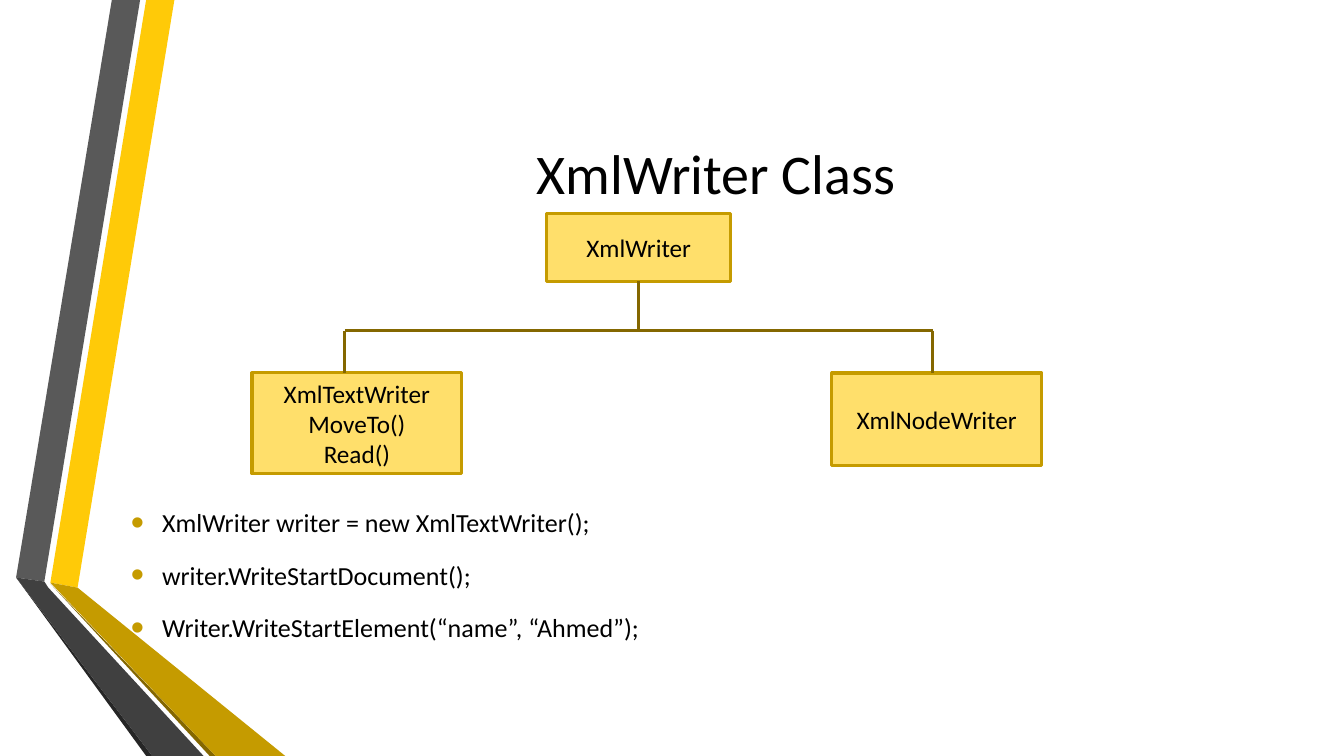
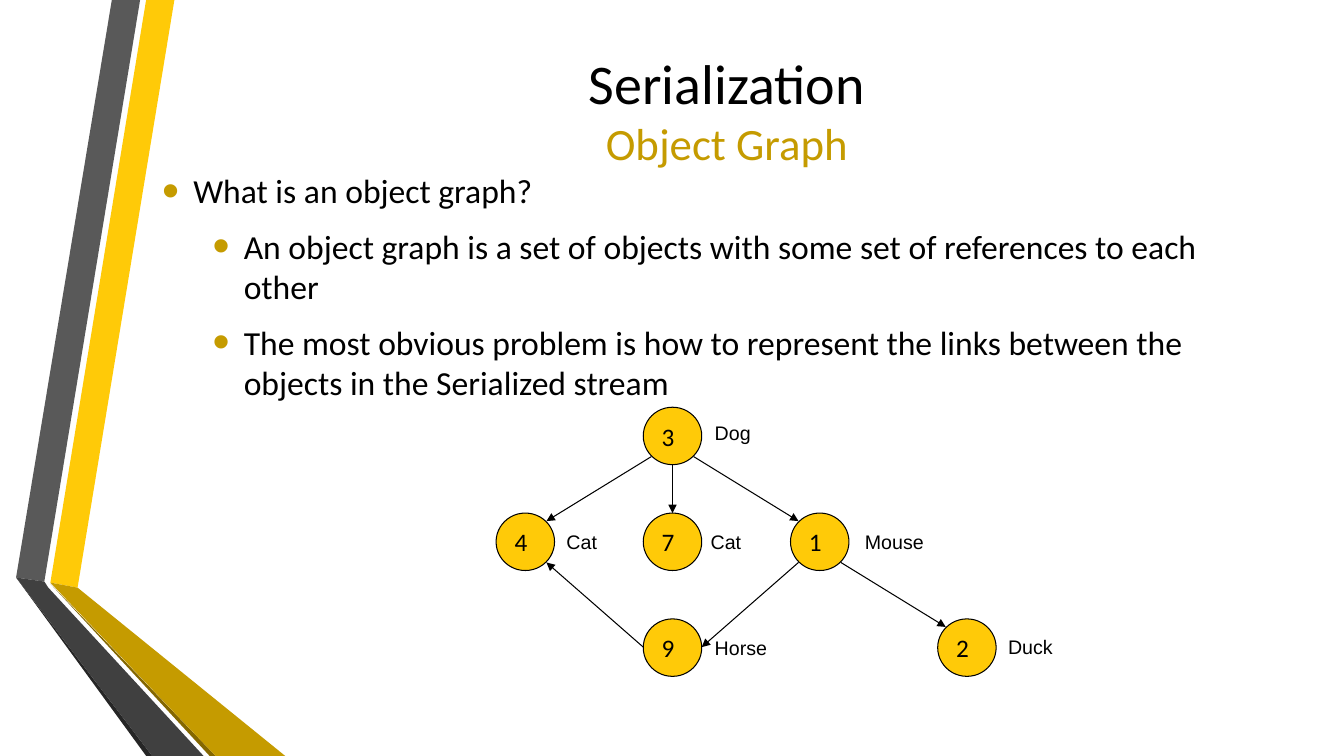
from dataclasses import dataclass
from math import cos, radians, sin

from lxml import etree
from pptx import Presentation
from pptx import util as u
from pptx.dml import color
from pptx.enum import shapes, text
from pptx.oxml import ns

SCALE = 9144
BLACK, GOLD, SUN = "000000", "C59B00", "FFCA08"
PALE, DARK = "FFDF6B", "846700"
FACE, SANS = "Calibri", "Arial"
LEFT, MID = text.PP_ALIGN.LEFT, text.PP_ALIGN.CENTER
TOP, CORE = text.MSO_ANCHOR.TOP, text.MSO_ANCHOR.MIDDLE
RECT, OVAL = shapes.MSO_SHAPE.RECTANGLE, shapes.MSO_SHAPE.OVAL


@dataclass(frozen=True)
class Box:
    x: int
    y: int
    w: int
    h: int


@dataclass(frozen=True)
class Band:
    tint: str
    dots: tuple[tuple[int, int], ...]


@dataclass(frozen=True)
class Run:
    words: str
    size: float = 18
    tint: str = BLACK
    face: str = FACE


@dataclass(frozen=True)
class Point:
    run: Run
    level: int = 0


@dataclass(frozen=True)
class Node:
    key: str
    label: str
    col: int
    row: int
    dx: int
    dy: int = 12

    @property
    def box(self) -> Box:
        return Box(492 + 146 * self.col, 404 + 105 * self.row, 58, 57)

    def rim(self, turn: int) -> tuple[int, int]:
        box, arc = self.box, radians(turn)
        return (round(box.x + box.w / 2 * (1 + cos(arc))),
                round(box.y + box.h / 2 * (1 + sin(arc))))


@dataclass(frozen=True)
class Edge:
    start: str
    leave: int
    end: str
    reach: int


BANDS = (
    Band(SUN, ((50, 578), (77, 583), (173, 0), (145, 0))),
    Band("595959", ((139, 0), (111, 0), (16, 573), (44, 577))),
    Band("262626", ((16, 573), (145, 750), (151, 750))),
    Band(DARK, ((50, 579), (208, 750), (214, 750))),
    Band(GOLD, ((50, 578), (214, 750), (283, 750), (77, 583))),
    Band("404040", ((202, 750), (48, 583), (44, 577), (16, 573), (151, 750))),
)

CODE = (
    Point(Run("XmlWriter writer = new XmlTextWriter();", 18.6)),
    Point(Run("writer.WriteStartDocument();", 18.6)),
    Point(Run("Writer.WriteStartElement(“name”, “Ahmed”);", 18.6)),
)

FACTS = (
    Point(Run("What is an object graph?", 24)),
    Point(Run("An object graph is a set of objects with some set of "
              "references to each other", 24), 1),
    Point(Run("The most obvious problem is how to represent the links "
              "between the objects in the Serialized stream", 24), 1),
)

NODES = (
    Node("3", "Dog", 1, 0, 61, 9),
    Node("7", "Cat", 1, 1, 57),
    Node("4", "Cat", 0, 1, 60),
    Node("1", "Mouse", 2, 1, 64),
    Node("9", "Horse", 1, 2, 61),
    Node("2", "Duck", 3, 2, 60, 11),
)

EDGES = (
    Edge("3", 90, "7", 270),
    Edge("3", 135, "4", 315),
    Edge("3", 45, "1", 225),
    Edge("1", 135, "9", 0),
    Edge("9", 180, "4", 45),
    Edge("1", 45, "2", 225),
)


def px(n: int) -> u.Emu:
    return u.Emu(n * SCALE)


def rgb(tint: str) -> color.RGBColor:
    return color.RGBColor.from_string(tint)


def place(box: Box) -> tuple[u.Emu, ...]:
    return px(box.x), px(box.y), px(box.w), px(box.h)


def add(parent, tag: str, **attrs: str):
    return etree.SubElement(parent, ns.qn(tag), attrs)


def write(para, run: Run) -> None:
    part = para.add_run()
    part.text = run.words
    font = part.font
    font.size, font.name = u.Pt(run.size), run.face
    font.color.rgb = rgb(run.tint)


def fill(frame, runs: tuple[Run, ...], align=LEFT, wrap: bool = True,
         anchor=CORE) -> None:
    frame.word_wrap = wrap
    frame.vertical_anchor = anchor
    for i, run in enumerate(runs):
        para = frame.add_paragraph() if i else frame.paragraphs[0]
        para.alignment = align
        write(para, run)


def label(slide, box: Box, runs: tuple[Run, ...], align=LEFT,
          anchor=TOP) -> None:
    item = slide.shapes.add_textbox(*place(box))
    fill(item.text_frame, runs, align, anchor=anchor)


def bullets(slide, box: Box, points: tuple[Point, ...], gap: float) -> None:
    frame = slide.shapes.add_textbox(*place(box)).text_frame
    frame.word_wrap = True
    for i, point in enumerate(points):
        para = frame.add_paragraph() if i else frame.paragraphs[0]
        para.level = point.level
        para.space_before = u.Pt(gap if i else 0)
        para.space_after = u.Pt(6)
        props = para._p.get_or_add_pPr()
        props.set("marL", str(px(31 + 50 * point.level)))
        props.set("indent", str(px(-31)))
        add(add(props, "a:buClr"), "a:srgbClr", val=GOLD)
        add(props, "a:buSzPct", val="145000")
        add(props, "a:buFont", typeface=SANS)
        add(props, "a:buChar", char="•")
        write(para, point.run)


def paint(item, tint: str, edge: str = "", width: float = 0) -> None:
    item.shadow.inherit = False
    item.fill.solid()
    item.fill.fore_color.rgb = rgb(tint)
    if edge:
        item.line.color.rgb = rgb(edge)
        item.line.width = u.Pt(width)
    else:
        item.line.fill.background()


def line(slide, start: tuple[int, int], end: tuple[int, int], tint: str,
         width: float, arrow: bool = False):
    item = slide.shapes.add_connector(
        shapes.MSO_CONNECTOR.STRAIGHT, *map(px, start + end))
    item.line.color.rgb = rgb(tint)
    item.line.width = u.Pt(width)
    if arrow:
        add(item.line._get_or_add_ln(), "a:tailEnd", type="triangle")
    add(item._element.spPr, "a:effectLst")
    return item


def block(slide, box: Box, *words: str):
    item = slide.shapes.add_shape(RECT, *place(box))
    paint(item, PALE, GOLD, 2.25)
    fill(item.text_frame, tuple(map(Run, words)), MID, False)
    return item


def base(deck, box: Box, *runs: Run):
    slide = deck.slides.add_slide(deck.slide_layouts[6])
    for band in BANDS:
        pen = slide.shapes.build_freeform(*band.dots[0], scale=SCALE)
        pen.add_line_segments(band.dots[1:], close=True)
        paint(pen.convert_to_shape(), band.tint)
    label(slide, box, runs, MID, CORE)
    return slide


def writer(deck) -> None:
    slide = base(deck, Box(162, 75, 1096, 192), Run("XmlWriter Class", 40))
    bullets(slide, Box(120, 498, 1100, 144), CODE, 9)
    root = block(slide, Box(542, 212, 183, 67), "XmlWriter")
    block(slide, Box(250, 370, 208, 100),
          "XmlTextWriter", "MoveTo()", "Read()")
    block(slide, Box(825, 370, 208, 92), "XmlNodeWriter")
    rail, ends = 328, (342, 925)
    line(slide, (ends[0], rail), (ends[1], rail), DARK, 2.25)
    for x in ends:
        line(slide, (x, rail), (x, 370), DARK, 2.25)
    trunk = line(slide, (633, 279), (633, rail), DARK, 2.25)
    trunk.begin_connect(root, 2)
    trunk.end_x = trunk.begin_x


def graph(deck) -> None:
    slide = base(deck, Box(173, 12, 1096, 192),
                 Run("Serialization", 40), Run("Object Graph", 32, GOLD))
    bullets(slide, Box(151, 164, 1096, 240), FACTS, 4.8)
    for node in NODES:
        box = node.box
        item = slide.shapes.add_shape(OVAL, *place(box))
        paint(item, SUN, BLACK, 0.75)
        fill(item.text_frame, (Run(node.key),))
        label(slide, Box(box.x + node.dx, box.y + node.dy, 90, 33),
              (Run(node.label, 14, face=SANS),))
    found = {node.key: node for node in NODES}
    for edge in EDGES:
        line(slide, found[edge.start].rim(edge.leave),
             found[edge.end].rim(edge.reach), BLACK, 0.75, True)


def main() -> None:
    deck = Presentation()
    deck.slide_width, deck.slide_height = px(1333), px(750)
    writer(deck)
    graph(deck)
    deck.save("out.pptx")


if __name__ == "__main__":
    main()
